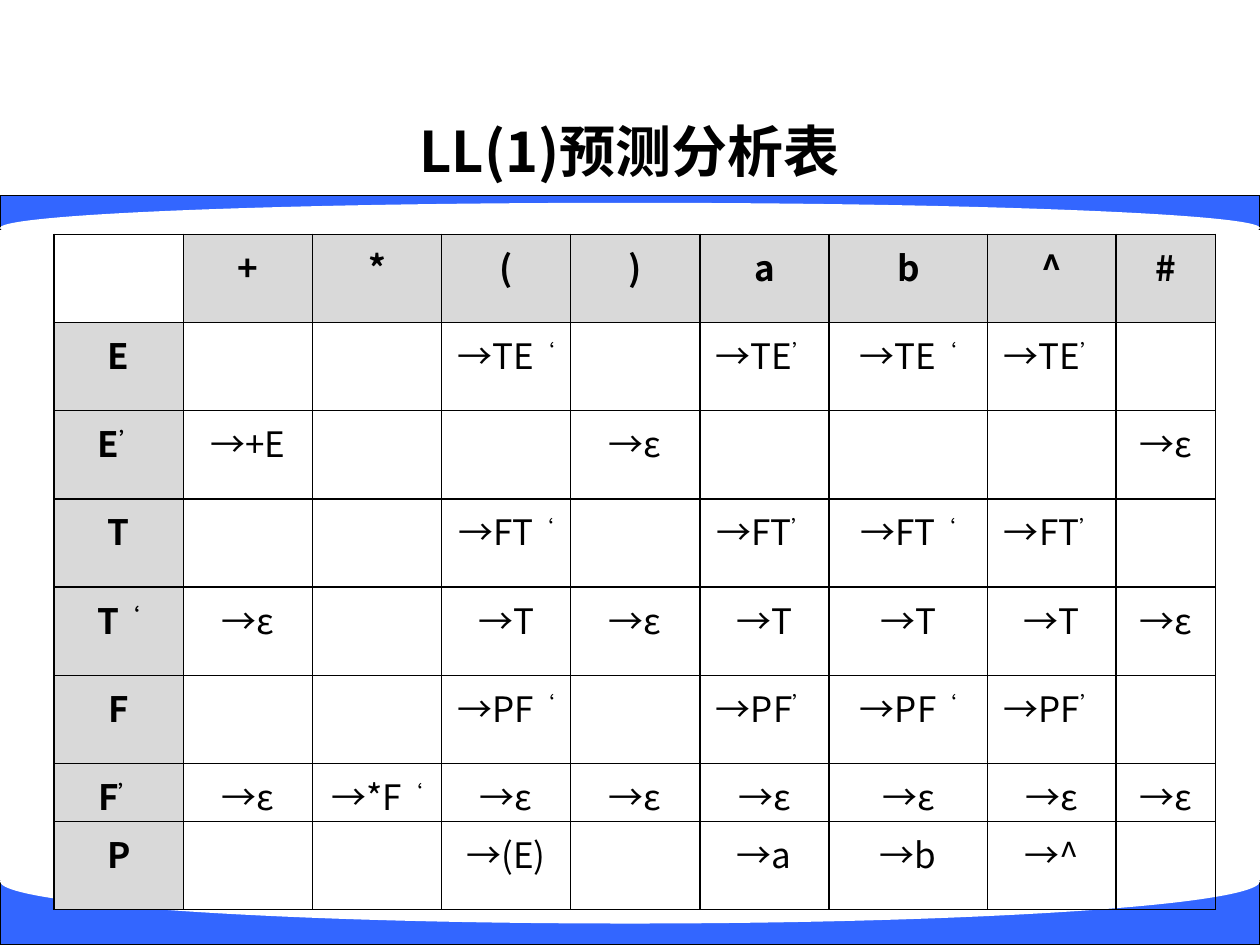
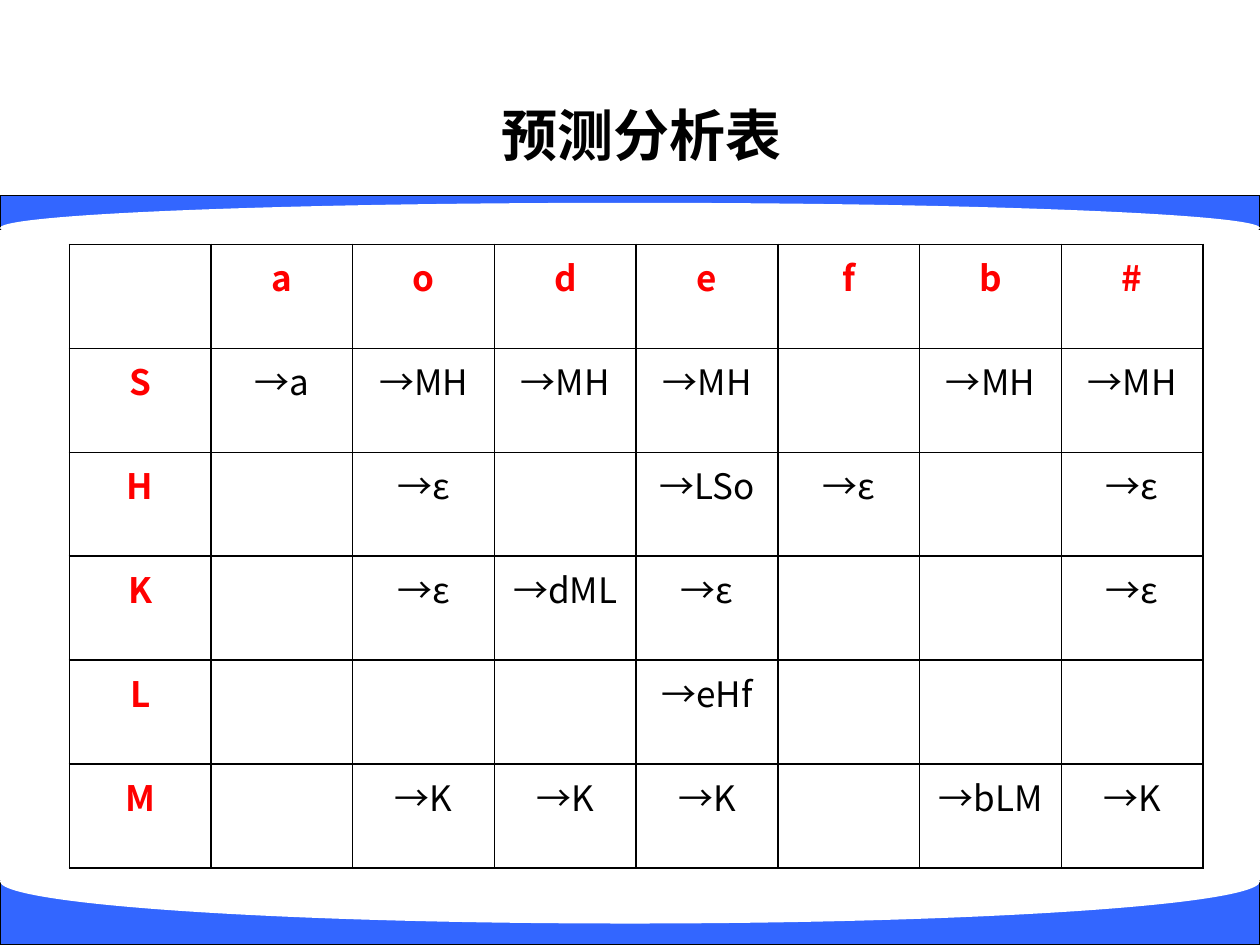
from dataclasses import dataclass
from lxml.etree import SubElement
from pptx import Presentation
from pptx.dml.color import RGBColor
from pptx.enum.shapes import MSO_SHAPE
from pptx.enum.text import MSO_ANCHOR, PP_ALIGN
from pptx.oxml import parse_xml
from pptx.oxml.ns import nsdecls, qn
from pptx.util import Inches, Pt

NOTO = "Noto Sans CJK SC"
BLACK, WHITE, RED = "000000", "FFFFFF", "FF0000"
BLUE, GREY = "3366FF", "D9D9D9"
QUOTES = "‘’"


@dataclass
class Band:
    top: float
    height: float
    oval_top: float
    oval_height: float


@dataclass
class Title:
    text: str
    font: str
    left: float
    top: float
    height: float


@dataclass
class Grid:
    left: float
    top: float
    cols: list[float]
    rows: list[float]
    text: str
    head_ink: str
    head_fill: str | None = None


BANDS = [Band(1.55, 0.27, 1.61, 0.4), Band(6.99, 0.51, 6.66, 0.67)]

PAGES = [
    (
        Title("LL(1)预测分析表", NOTO, 0.5, 0.84, 0.71),
        Grid(0.43, 1.86, [1.025] * 6 + [1.26, 1.02, 0.79],
             [0.7] * 6 + [0.46, 0.7], """
             . + * ( ) a b ^ #
             E . . →TE‘ . →TE’ →TE‘ →TE’ .
             E’ →+E . . →ε . . . →ε
             T . . →FT‘ . →FT’ →FT‘ →FT’ .
             T‘ →ε . →T →ε →T →T →T →ε
             F . . →PF‘ . →PF’ →PF‘ →PF’ .
             F’ →ε →*F‘ →ε →ε →ε →ε →ε →ε
             P . . →(E) . →a →b →^ .
             """, BLACK, GREY),
    ),
    (
        Title("预测分析表", "Arial", 0.59, 0.68, 0.77),
        Grid(0.55, 1.94, [9 / 8] * 8, [4.95 / 6] * 6, """
             . a o d e f b #
             S →a →MH →MH →MH . →MH →MH
             H . →ε . →LSo →ε . →ε
             K . →ε →dML →ε . . →ε
             L . . . →eHf . . .
             M . →K →K →K . →bLM →K
             """, RED),
    ),
]


def color(code: str) -> RGBColor:
    return RGBColor.from_string(code)


def style(para, face: str, size: int, ink: str, bold: bool) -> None:
    para.alignment = PP_ALIGN.CENTER
    font = para.font
    font.name, font.size, font.bold = face, Pt(size), bold
    font.color.rgb = color(ink)
    props = para._p.pPr.find(qn("a:defRPr"))
    SubElement(props, qn("a:ea")).set("typeface", NOTO)


def draw_shape(slide, kind, top: float, height: float, fill: str, edge: bool) -> None:
    shape = slide.shapes.add_shape(kind, 0, Inches(top), Inches(10), Inches(height))
    shape.shadow.inherit = False
    shape.fill.solid()
    shape.fill.fore_color.rgb = color(fill)
    if edge:
        shape.line.color.rgb = color(BLACK)
        shape.line.width = Pt(0.75)
    else:
        shape.line.fill.background()


def draw_band(slide, band: Band) -> None:
    draw_shape(slide, MSO_SHAPE.RECTANGLE, band.top, band.height, BLUE, True)
    draw_shape(slide, MSO_SHAPE.OVAL, band.oval_top, band.oval_height, WHITE, False)


def draw_title(slide, title: Title) -> None:
    box = slide.shapes.add_textbox(
        Inches(title.left), Inches(title.top), Inches(9), Inches(title.height))
    frame = box.text_frame
    frame.word_wrap = True
    frame.vertical_anchor = MSO_ANCHOR.MIDDLE
    para = frame.paragraphs[0]
    para.add_run().text = title.text
    style(para, title.font, 32, BLACK, True)


def add_edges(cell) -> None:
    props = cell._tc.get_or_add_tcPr()
    for spot, side in enumerate("LRTB"):
        props.insert(spot, parse_xml(
            f'<a:ln{side} {nsdecls("a")} w="{Pt(1)}"><a:solidFill>'
            f'<a:srgbClr val="{BLACK}"/></a:solidFill></a:ln{side}>'))


def write_cell(cell, text: str, ink: str, bold: bool) -> None:
    para = cell.text_frame.paragraphs[0]
    props = para._p.get_or_add_pPr()
    props.set("marL", str(Inches(0.38)))
    props.set("indent", str(-Inches(0.38)))
    stem = text.rstrip(QUOTES)
    para.add_run().text = stem
    if stem != text:
        prime = para.add_run()
        prime.text = text[len(stem):]
        prime._r.get_or_add_rPr().set("baseline", "30000")
    style(para, NOTO, 20, ink, bold)


def draw_grid(slide, grid: Grid) -> None:
    table = slide.shapes.add_table(
        len(grid.rows), len(grid.cols), Inches(grid.left), Inches(grid.top),
        Inches(sum(grid.cols)), Inches(sum(grid.rows))).table
    table.first_row = table.horz_banding = False
    for col, width in zip(table.columns, grid.cols):
        col.width = Inches(width)
    for row, height in zip(table.rows, grid.rows):
        row.height = Inches(height)
    for r, line in enumerate(grid.text.strip().splitlines()):
        for c, text in enumerate(line.split()):
            cell = table.cell(r, c)
            head = (r == 0) != (c == 0)
            if head and grid.head_fill:
                cell.fill.solid()
                cell.fill.fore_color.rgb = color(grid.head_fill)
            else:
                cell.fill.background()
            add_edges(cell)
            if text != ".":
                write_cell(cell, text, grid.head_ink if head else BLACK, head)


def main() -> None:
    deck = Presentation()
    deck.slide_width, deck.slide_height = Inches(10), Inches(7.5)
    for title, grid in PAGES:
        slide = deck.slides.add_slide(deck.slide_layouts[6])
        for band in BANDS:
            draw_band(slide, band)
        draw_title(slide, title)
        draw_grid(slide, grid)
    deck.save("out.pptx")


if __name__ == "__main__":
    main()
